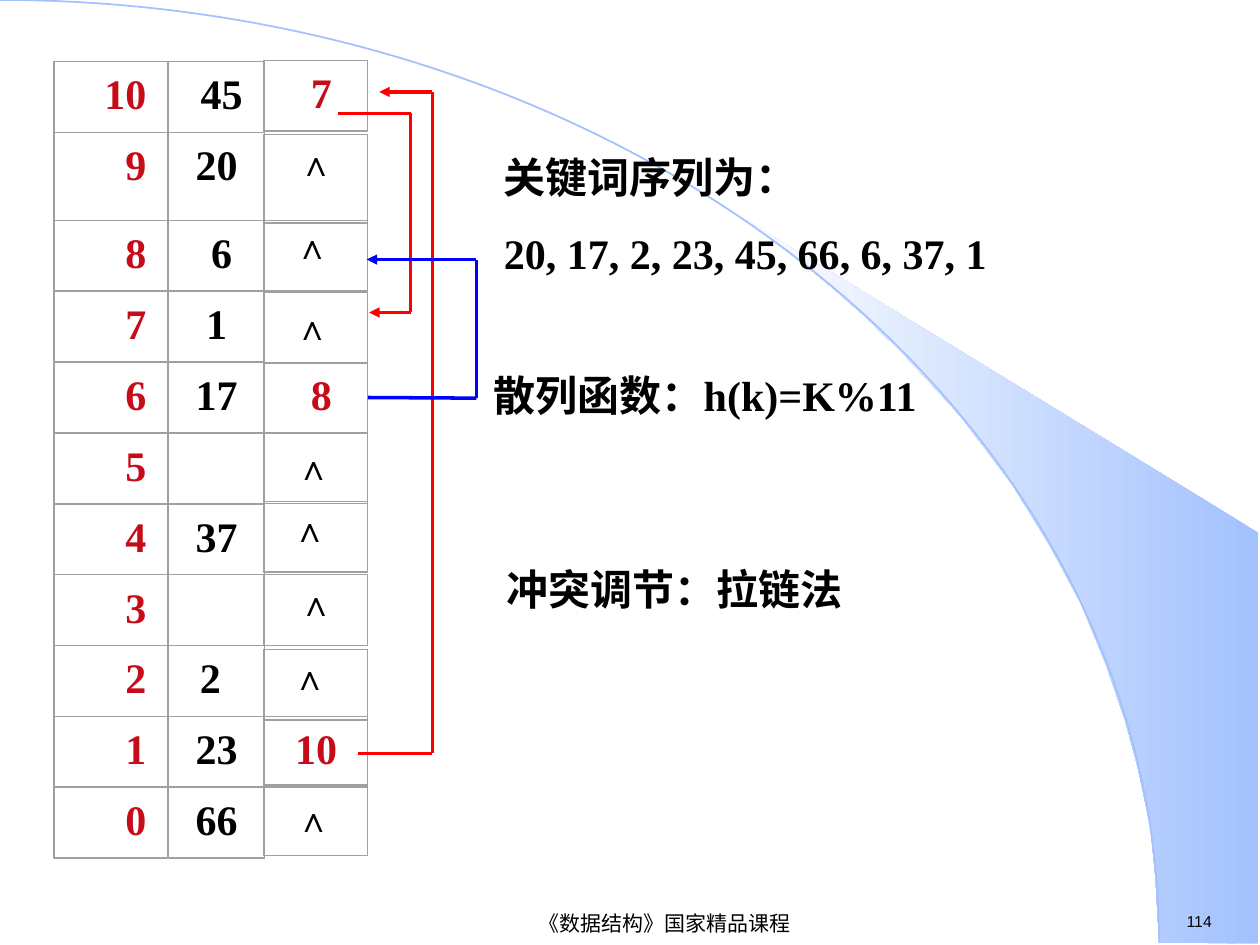
from itertools import pairwise

from lxml.etree import SubElement
from pptx import Presentation
from pptx.dml.color import RGBColor
from pptx.enum.shapes import MSO_CONNECTOR, MSO_SHAPE
from pptx.enum.text import MSO_ANCHOR, PP_ALIGN
from pptx.oxml.ns import qn
from pptx.util import Inches, Pt

BLACK, CRIMSON, RED, BLUE = "000000", "C60C19", "FF0000", "0000FF"
GRAY, SKY, WHITE = "A0A0A0", "A2C1FE", "FEFEFE"

# Row height is even from key 8 down
ROW_HEIGHT = 4.5 / 8
ROW_TOPS = [0.49, 1.05] + [1.75 + row * ROW_HEIGHT for row in range(9)]

# Value, value centre, link, link centre, link frame shift, link label shift
ROWS = [
    ("45", 1.76, "7", 2.55, -0.01, 0),
    ("20", 1.72, "∧", 2.51, 0.02, 0),
    ("6", 1.76, "∧", 2.48, 0, -0.02),
    ("1", 1.72, "∧", 2.48, 0.01, 0.05),
    ("17", 1.72, "8", 2.55, 0, 0),
    ("", 1.72, "∧", 2.49, 0, 0.05),
    ("37", 1.72, "∧", 2.46, -0.02, 0),
    ("", 1.72, "∧", 2.51, 0, 0),
    ("2", 1.67, "∧", 2.46, 0.03, 0),
    ("23", 1.72, "10", 2.51, 0, 0),
    ("66", 1.72, "∧", 2.49, -0.02, 0.05),
]

SWOOSH = [
    (9.2, 7.48), (9.99, 7.49), (9.99, 4.23), (5.89, 1.73), (6.24, 1.99),
    (6.53, 2.22), (6.85, 2.5), (7.16, 2.8), (7.62, 3.3), (8.03, 3.84),
    (8.32, 4.31), (8.58, 4.79), (8.78, 5.28), (8.93, 5.72), (9.03, 6.09),
    (9.13, 6.56), (9.17, 6.96), (9.2, 7.48),
]


def color(hex_value):
    return RGBColor.from_string(hex_value)


def write(paragraph, text, size=24, font="Times New Roman", fill=BLACK,
          bold=True, align=PP_ALIGN.LEFT, before=0):
    run = paragraph.add_run()
    run.text = text
    run.font.size = Pt(size)
    run.font.name = font
    run.font.bold = bold
    run.font.color.rgb = color(fill)
    paragraph.alignment = align
    if before:
        paragraph.space_before = Pt(before)


class SlideBuilder:
    def __init__(self, slide):
        self.slide = slide

    def text(self, box, *lines, wrap=True, anchor=MSO_ANCHOR.TOP, gap=0, **style):
        shape = self.slide.shapes.add_textbox(*map(Inches, box))
        frame = shape.text_frame
        frame.word_wrap = wrap
        frame.vertical_anchor = anchor
        for index, line in enumerate(lines):
            paragraph = frame.add_paragraph() if index else frame.paragraphs[0]
            write(paragraph, line, before=gap if index else 0, **style)

    def outline(self, kind, box, line, width):
        shape = self.slide.shapes.add_shape(kind, *map(Inches, box))
        shape.shadow.inherit = False
        shape.fill.background()
        shape.line.color.rgb = color(line)
        shape.line.width = Pt(width)
        return shape

    def gradient_area(self, points, colors, angle):
        start, *rest = [tuple(map(Inches, point)) for point in points]
        builder = self.slide.shapes.build_freeform(*start)
        builder.add_line_segments(rest, close=True)
        shape = builder.convert_to_shape()
        shape.shadow.inherit = False
        shape.line.fill.background()
        shape.fill.gradient()
        shape.fill.gradient_angle = angle
        for stop, stop_color in zip(shape.fill.gradient_stops, colors):
            stop.color.rgb = color(stop_color)

    def route(self, points, line, width, source=None):
        """Draw a bent link whose last segment carries the arrowhead."""
        segments = []
        for start, end in pairwise(points):
            connector = self.slide.shapes.add_connector(
                MSO_CONNECTOR.STRAIGHT, *map(Inches, start + end))
            connector.line.color.rgb = color(line)
            connector.line.width = Pt(width)
            SubElement(connector._element.spPr, qn("a:effectLst"))
            segments.append(connector)
        if source is not None:
            segments[0].begin_connect(source, 3)
        line_element = segments[-1].line._get_or_add_ln()
        SubElement(line_element, qn("a:tailEnd"), type="triangle")


def main():
    presentation = Presentation()
    presentation.slide_width = Inches(10)
    presentation.slide_height = Inches(7.5)
    slide = presentation.slides.add_slide(presentation.slide_layouts[6])
    builder = SlideBuilder(slide)

    # Background curve and footer
    builder.gradient_area(SWOOSH, (SKY, WHITE), 180)
    builder.outline(MSO_SHAPE.ARC, (-9.2, 0, 18.4, 14.97), SKY, 1)
    footer = dict(font="Arial", bold=False, wrap=False)
    builder.text((9.32, 7.19, 0.77, 0.25), "114", size=9, **footer)
    builder.text((2.4, 7.21, 5.75, 0.24), "《数据结构》国家精品课程", size=12,
                 align=PP_ALIGN.CENTER, anchor=MSO_ANCHOR.MIDDLE, **footer)

    # Explanations
    builder.text((3.9, 1.15, 4.76, 1.11), "关键词序列为：",
                 "20, 17, 2, 23, 45, 66, 6, 37, 1", gap=15)
    builder.text((3.82, 2.88, 5.28, 0.5), "散列函数：h(k)=K%11")
    builder.text((3.92, 4.42, 4.83, 0.5), "冲突调节：拉链法")

    # Hash table: key, value and link to the next key
    link_frames = {}
    for index, (top, row) in enumerate(zip(ROW_TOPS, ROWS)):
        value, value_center, link, link_center, frame_shift, label_shift = row
        key = len(ROWS) - 1 - index
        height = 0.7 if key == 9 else 0.56
        link_top = top + frame_shift
        for left, width, frame_top in ((0.43, 0.9, top), (1.34, 0.76, top),
                                       (2.09, 0.83, link_top)):
            frame = builder.outline(MSO_SHAPE.RECTANGLE,
                                    (left, frame_top, width, height), GRAY, 0)
        link_frames[key] = frame
        builder.text((0.51, top, 0.75, height), str(key),
                     fill=CRIMSON, align=PP_ALIGN.RIGHT)
        if value:
            builder.text((value_center - 0.3, top, 0.6, height), value,
                         align=PP_ALIGN.CENTER)
        empty = link == "∧"
        builder.text((link_center - 0.28, link_top + label_shift, 0.56, height),
                     link, size=20 if empty else 24,
                     fill=BLACK if empty else CRIMSON, align=PP_ALIGN.CENTER)

    # Chains between rows
    builder.route([(2.84, 5.98), (3.43, 5.98), (3.43, 0.73), (3.01, 0.73)], RED, 1.75)
    builder.route([(2.68, 0.9), (3.26, 0.9), (3.26, 2.48), (2.93, 2.48)], RED, 1.75)
    builder.route([(2.92, 3.16), (3.78, 3.16), (3.78, 2.06), (2.91, 2.06)], BLUE, 2,
                  source=link_frames[6])

    presentation.save("out.pptx")


if __name__ == "__main__":
    main()
